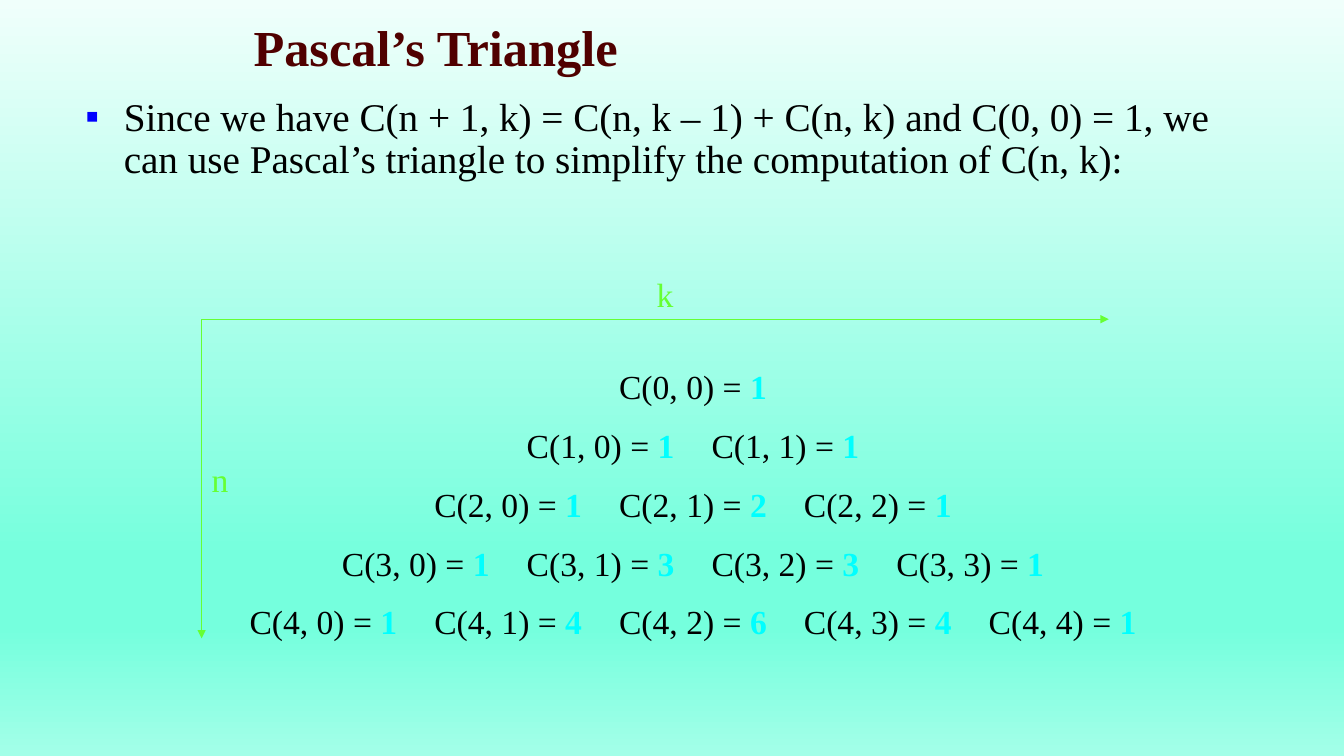
from dataclasses import dataclass
from math import comb

from lxml.etree import SubElement
from pptx import Presentation
from pptx.dml.color import RGBColor
from pptx.enum.shapes import MSO_CONNECTOR
from pptx.enum.text import MSO_ANCHOR, MSO_AUTO_SIZE, PP_ALIGN
from pptx.oxml.ns import qn
from pptx.util import Inches, Pt

COLUMNS, ROWS = 160, 90  # grid over the whole slide
FONT = "Times New Roman"
BLACK, MAROON, BLUE, CYAN, GREEN = "000000", "500000", "0000FF", "00FFFF", "66FF33"
BACKGROUND = [(0, "F0FFFB"), (74, "75FFDD"), (83, "75FFDD"), (100, "A3FFE8")]


@dataclass
class Area:
    column: int
    row: int
    width: int
    height: int


@dataclass
class Axis:
    name: str
    end_column: int
    end_row: int
    label: Area


deck = Presentation()
deck.slide_width, deck.slide_height = Inches(13.333), Inches(7.5)
slide = deck.slides.add_slide(deck.slide_layouts[6])


def across(columns: int) -> int:
    return round(deck.slide_width * columns / COLUMNS)


def down(rows: int) -> int:
    return round(deck.slide_height * rows / ROWS)


def color(code: str) -> RGBColor:
    return RGBColor.from_string(code)


def add_text(area: Area, *parts: tuple[str, str, bool], size: int = 24,
             align: PP_ALIGN = PP_ALIGN.LEFT, anchor: MSO_ANCHOR = MSO_ANCHOR.TOP,
             grow: bool = True, line_spacing: float | None = None,
             before: int = 50, after: int = 0, bullet: str = "") -> None:
    """Each part is (text, colour, bold); before and after are percent of a line."""
    box = slide.shapes.add_textbox(across(area.column), down(area.row),
                                   across(area.width), down(area.height))
    frame = box.text_frame
    frame.word_wrap = True
    frame.auto_size = MSO_AUTO_SIZE.SHAPE_TO_FIT_TEXT if grow else MSO_AUTO_SIZE.NONE
    frame.vertical_anchor = anchor
    paragraph = frame.paragraphs[0]
    paragraph.alignment = align
    paragraph.line_spacing = line_spacing
    for words, ink, bold in parts:
        run = paragraph.add_run()
        run.text = words
        run.font.name, run.font.size, run.font.bold = FONT, Pt(size), bold
        run.font.color.rgb = color(ink)

    # Percentage spacing and bullet
    properties = paragraph._p.get_or_add_pPr()
    for tag, percent in (("a:spcBef", before), ("a:spcAft", after)):
        spacing = SubElement(properties, qn(tag))
        SubElement(spacing, qn("a:spcPct"), val=str(percent * 1000))
    if bullet:
        properties.set("marL", str(Inches(0.38)))
        properties.set("indent", str(-Inches(0.38)))
        bullet_color = SubElement(properties, qn("a:buClr"))
        SubElement(bullet_color, qn("a:srgbClr"), val=BLUE)
        SubElement(properties, qn("a:buFont"), typeface=FONT)
        SubElement(properties, qn("a:buChar"), char=bullet)


def add_axis(axis: Axis) -> None:
    arrow = slide.shapes.add_connector(
        MSO_CONNECTOR.STRAIGHT, across(24), down(38),
        across(axis.end_column), down(axis.end_row))
    arrow.line.color.rgb = color(GREEN)
    arrow.line.width = Pt(0.75)
    SubElement(arrow.line._get_or_add_ln(), qn("a:tailEnd"), type="triangle")
    SubElement(arrow._element.spPr, qn("a:effectLst"))
    add_text(axis.label, (axis.name, GREEN, False))


# Background gradient
fill = slide.background.fill
fill.gradient()
fill.gradient_angle = 270
stops = next(slide.element.iter(qn("a:gsLst")))
for stop in list(stops):
    stops.remove(stop)
for position, shade in BACKGROUND:
    stop = SubElement(stops, qn("a:gs"), pos=str(position * 1000))
    SubElement(stop, qn("a:srgbClr"), val=shade)

# Title and explanation
add_text(Area(29, 2, 102, 7), ("Pascal’s Triangle", MAROON, True),
         size=36, anchor=MSO_ANCHOR.MIDDLE, grow=False, before=0)
add_text(Area(9, 11, 143, 18),
         ("Since we have C(n + 1, k) = C(n, k – 1) + C(n, k) and C(0, 0) = 1, "
          "we can use Pascal’s triangle to simplify the computation of C(n, k):",
          BLACK, False),
         size=28, grow=False, line_spacing=0.9, before=20, after=10, bullet="▪")

# Triangle: each row starts half a step further left
for n in range(5):
    for k in range(n + 1):
        add_text(Area(70 - 11 * n + 22 * k, 43 + 7 * n, 25, 6),
                 (f"C({n}, {k}) = ", BLACK, False), (str(comb(n, k)), CYAN, True),
                 align=PP_ALIGN.CENTER)

# Axes
for axis in (Axis("n", 24, 76, Area(24, 54, 9, 6)),
             Axis("k", 132, 38, Area(77, 32, 9, 6))):
    add_axis(axis)

deck.save("out.pptx")
